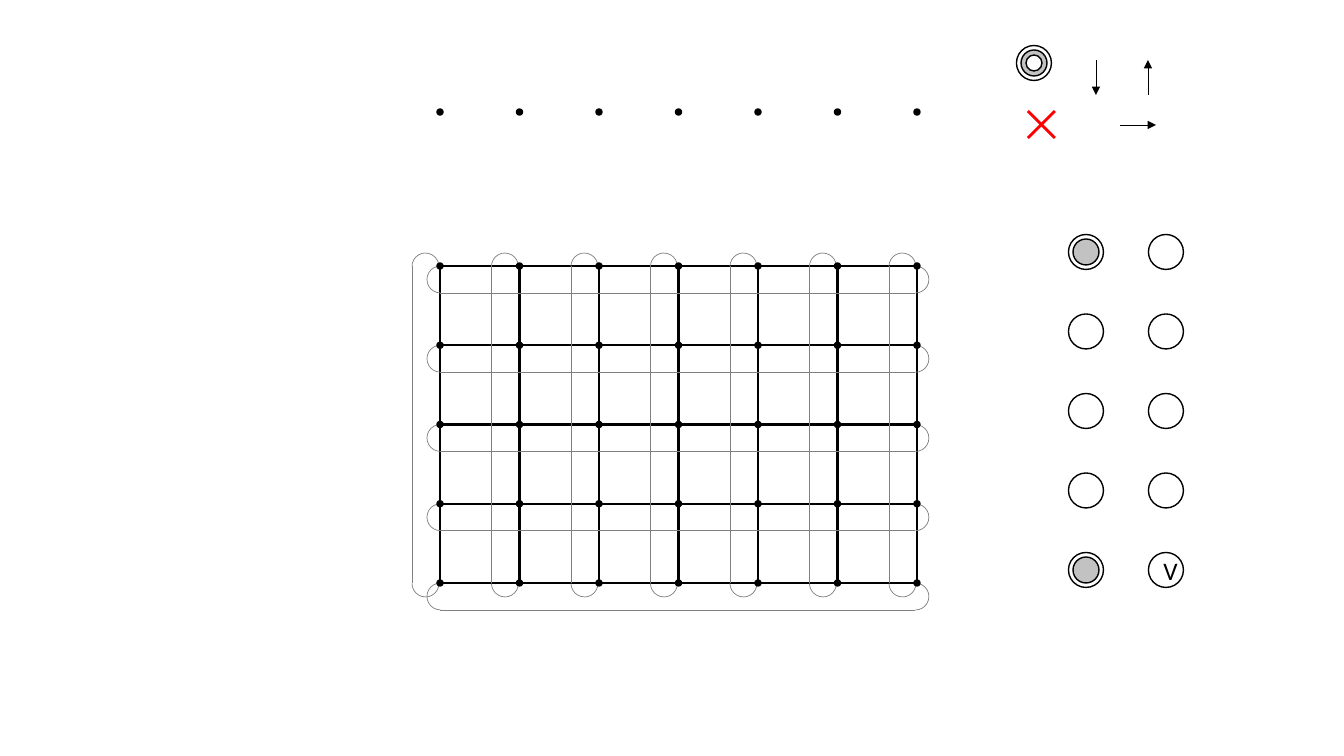
from dataclasses import dataclass

from pptx import Presentation
from pptx import util as u
from pptx.dml.color import RGBColor
from pptx.enum import shapes, text
from pptx.oxml import ns, xmlchemy
from pptx.shapes import autoshape, shapetree

Canvas = shapetree.SlideShapes | shapetree.GroupShapes

PX_PER_INCH = 100.8

BLACK = RGBColor(0, 0, 0)
WHITE = RGBColor(255, 255, 255)
RED = RGBColor(255, 0, 0)
LOOP_GRAY = RGBColor(0x80, 0x80, 0x80)
CORE_GRAY = RGBColor(0xBF, 0xBF, 0xBF)
CORE_ALPHA = 94

GRID_LEFT, GRID_RIGHT, GRID_TOP, GRID_BOTTOM = 440, 917, 266, 583
COLUMNS, ROWS = 7, 5
LOOP_SIZE, LOOP_RADIUS, LOOP_SHIFT = 27, 13, 28
DOT_SIZE, DOT_ROW_Y = 6, 112
RING_SIZE, CORE_SIZE, HOLE_SIZE = 35, 26, 16
TOKEN_XS, TOKEN_TOP, TOKEN_BOTTOM = (1086, 1166), 252, 570


@dataclass(frozen=True)
class Segment:
    x1: float
    y1: float
    x2: float
    y2: float
    color: RGBColor
    width: float
    arrow: bool = False


@dataclass(frozen=True)
class Token:
    x: float
    y: float
    filled: bool = False
    hollow: bool = False
    label: str = ""


ARROWS = [
    Segment(1120, 125, 1156, 125, BLACK, 0.5, True),
    Segment(1096, 60, 1096, 95, BLACK, 0.5, True),
    Segment(1148, 95, 1148, 60, BLACK, 0.5, True),
]
CROSS = [
    Segment(1055, 111, 1028, 138, RED, 2),
    Segment(1028, 111, 1055, 138, RED, 2),
]


def px(length: float) -> int:
    return round(u.Inches(1) * length / PX_PER_INCH)


def spread(first: int, last: int, count: int) -> list[float]:
    return [first + (last - first) * i / (count - 1) for i in range(count)]


def draw_segment(canvas: Canvas, segment: Segment) -> None:
    line = canvas.add_connector(
        shapes.MSO_CONNECTOR.STRAIGHT,
        px(segment.x1), px(segment.y1), px(segment.x2), px(segment.y2),
    )
    line.line.color.rgb = segment.color
    line.line.width = u.Pt(segment.width)
    if segment.arrow:
        tail = xmlchemy.OxmlElement("a:tailEnd")
        tail.set("type", "triangle")
        line.line._get_or_add_ln().append(tail)
    line._element.spPr.append(xmlchemy.OxmlElement("a:effectLst"))


def draw_circle(canvas: Canvas, x: float, y: float, size: int, color: RGBColor) -> autoshape.Shape:
    circle = canvas.add_shape(
        shapes.MSO_SHAPE.OVAL, px(x - size / 2), px(y - size / 2), px(size), px(size)
    )
    circle.shadow.inherit = False
    circle.fill.solid()
    circle.fill.fore_color.rgb = color
    circle.line.color.rgb = BLACK
    circle.line.width = u.Pt(1)
    return circle


def draw_token(canvas: Canvas, token: Token) -> None:
    ring = draw_circle(canvas, token.x, token.y, RING_SIZE, WHITE)
    if token.filled:
        core = draw_circle(canvas, token.x, token.y, CORE_SIZE, CORE_GRAY)
        alpha = xmlchemy.OxmlElement("a:alpha")
        alpha.set("val", str(CORE_ALPHA * 1000))
        core._element.spPr.find(f"{ns.qn('a:solidFill')}/{ns.qn('a:srgbClr')}").append(alpha)
    if token.hollow:
        draw_circle(canvas, token.x, token.y, HOLE_SIZE, WHITE)
    if token.label:
        frame = ring.text_frame
        frame.text = token.label
        frame.vertical_anchor = text.MSO_ANCHOR.MIDDLE
        para = frame.paragraphs[0]
        para.alignment = text.PP_ALIGN.CENTER
        span = para.runs[0]
        span.font.name = "Calibri"
        span.font.size = u.Pt(18)
        span.font.color.rgb = BLACK


def draw_arc(canvas: Canvas, left: float, top: float, rotation: int) -> None:
    arc = canvas.add_shape(
        shapes.MSO_SHAPE.ARC, px(left), px(top), px(LOOP_SIZE), px(LOOP_SIZE)
    )
    arc.shadow.inherit = False
    arc.fill.background()
    arc.line.color.rgb = LOOP_GRAY
    arc.line.width = u.Pt(0.5)
    arc.rotation = rotation
    arc._element.spPr.xfrm.set("flipH", "1")


def draw_column_loop(canvas: Canvas, x: float) -> None:
    left = x - LOOP_SHIFT
    for rotation, y in ((0, GRID_TOP), (90, GRID_TOP), (180, GRID_BOTTOM), (270, GRID_BOTTOM)):
        draw_arc(canvas, left, y - LOOP_RADIUS, rotation)
    draw_segment(canvas, Segment(left, GRID_TOP, left, GRID_BOTTOM, LOOP_GRAY, 0.5))


def draw_row_loop(canvas: Canvas, y: float) -> None:
    left, right = GRID_LEFT - LOOP_RADIUS, GRID_RIGHT - LOOP_RADIUS - 2
    for rotation, x in ((270, left), (0, left), (90, right), (180, right)):
        draw_arc(canvas, x, y, rotation)
    bottom = y + LOOP_SIZE
    draw_segment(canvas, Segment(GRID_LEFT, bottom, GRID_RIGHT - 2, bottom, LOOP_GRAY, 0.5))


def draw_grid(canvas: Canvas, xs: list[float], ys: list[float]) -> None:
    for x in xs:
        draw_segment(canvas, Segment(x, GRID_TOP, x, GRID_BOTTOM, BLACK, 1.5))
    for y in ys:
        draw_segment(canvas, Segment(GRID_LEFT, y, GRID_RIGHT, y, BLACK, 1.5))
    for x in xs:
        draw_column_loop(canvas, x)
    for y in ys:
        draw_row_loop(canvas, y)


def draw_dots(canvas: Canvas, xs: list[float], ys: list[float]) -> None:
    for y in ys:
        for x in xs:
            draw_circle(canvas, x, y, DOT_SIZE, BLACK)


def build_tokens() -> list[Token]:
    tokens = [Token(1034, 63, filled=True, hollow=True)]
    left, right = TOKEN_XS
    for row, y in enumerate(spread(TOKEN_TOP, TOKEN_BOTTOM, ROWS)):
        tokens.append(Token(left, y, filled=row in (0, ROWS - 1)))
        tokens.append(Token(right, y, label="V" if row == ROWS - 1 else ""))
    return tokens


def main() -> None:
    deck = Presentation()
    deck.slide_width, deck.slide_height = px(1344), px(756)
    page = deck.slides.add_slide(deck.slide_layouts[6])
    for arrow in ARROWS:
        draw_segment(page.shapes, arrow)
    cross = page.shapes.add_group_shape()
    for stroke in CROSS:
        draw_segment(cross.shapes, stroke)
    for token in build_tokens():
        draw_token(page.shapes, token)
    xs = spread(GRID_LEFT, GRID_RIGHT, COLUMNS)
    ys = spread(GRID_TOP, GRID_BOTTOM, ROWS)
    draw_grid(page.shapes.add_group_shape().shapes, xs, ys)
    draw_dots(page.shapes.add_group_shape().shapes, xs, [DOT_ROW_Y])
    draw_dots(page.shapes.add_group_shape().shapes, xs, ys)
    deck.save("out.pptx")


if __name__ == "__main__":
    main()
